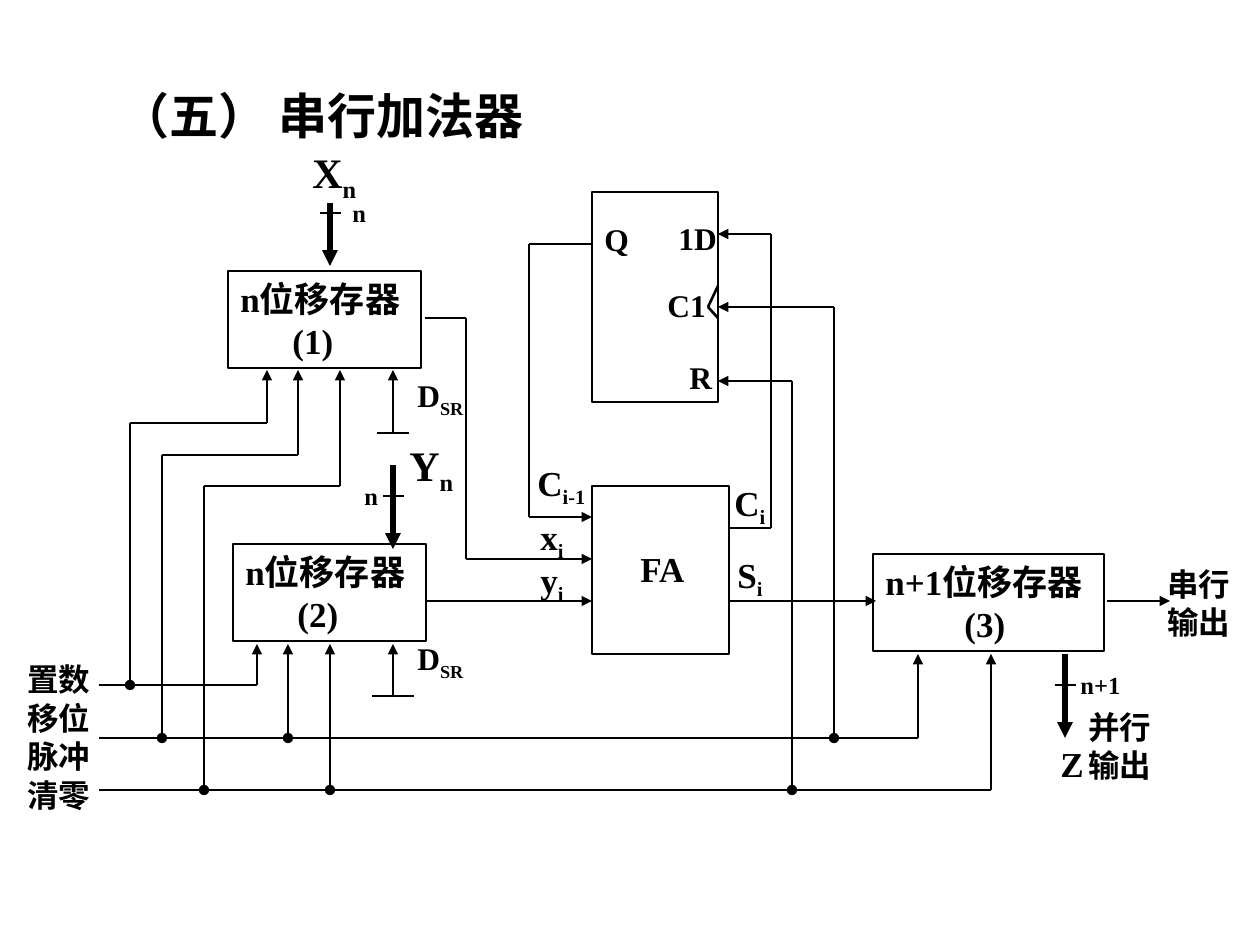
from pptx import Presentation, util as u
from pptx.dml.color import RGBColor
from pptx.enum import shapes, text
from pptx.oxml.ns import qn
from lxml import etree

SCALE = 914400 / 126  # EMU in one px
THEME = {
    "ink": RGBColor(0, 0, 0),
    "font": {"name": "Times New Roman", "bold": True},
    "title": 28, "port": 24, "body": 20, "small": 18, "tiny": 14,
    "thin": 1.5, "thick": 3,
}
FRAME = {"word_wrap": False, "vertical_anchor": text.MSO_ANCHOR.TOP,
         "auto_size": text.MSO_AUTO_SIZE.SHAPE_TO_FIT_TEXT}


def px(*vals):
    return [u.Emu(round(v * SCALE)) for v in vals]


def write(shape, words, size, sub="", inset=0):
    """Fill a shape, one paragraph a line; inset moves the later lines right."""
    frame = shape.text_frame
    for key, val in FRAME.items():
        setattr(frame, key, val)
    for i, line in enumerate(words.split("\n")):
        para = frame.add_paragraph() if i else frame.paragraphs[0]
        para.alignment = text.PP_ALIGN.LEFT
        if i and inset:
            para._p.get_or_add_pPr().set("marL", str(px(inset)[0]))
        for part in filter(None, (line, sub)):
            run = para.add_run()
            run.text = part
            for key, val in {**THEME["font"], "size": u.Pt(THEME[size])}.items():
                setattr(run.font, key, val)
            run.font.color.rgb = THEME["ink"]
            if part == sub:
                run._r.get_or_add_rPr().set("baseline", "-25000")


deck = Presentation()
deck.slide_width, deck.slide_height = px(1260, 945)
slide = deck.slides.add_slide(deck.slide_layouts[5])
items = slide.shapes

title = items.title
title.left, title.top, title.width, title.height = px(108, 79, 519, 72)
write(title, "（五） 串行加法器", "title")
title.text_frame.word_wrap = True

# Blocks: words, inset of second line, left, top, width, height
blocks = [
    ("n位移存器\n(1)", 52, 228, 271, 193, 97),
    ("n位移存器\n(2)", 52, 233, 544, 193, 97),
    ("n+1位移存器\n(3)", 79, 873, 554, 231, 97),
    ("", 0, 592, 486, 137, 168),
    ("", 0, 592, 192, 126, 210),
]
for words, inset, *area in blocks:
    box = items.add_shape(shapes.MSO_SHAPE.RECTANGLE, *px(*area))
    box.shadow.inherit = False
    box.fill.background()
    box.line.color.rgb = THEME["ink"]
    box.line.width = u.Pt(THEME["thin"])
    if words:
        write(box, words, "body", inset=inset)

# Wires: points, mark at start, mark at end, weight
DOT, TIP = "oval", "triangle"
wires = [
    ([(99, 685), (257, 685), (257, 644)], None, TIP, "thin"),
    ([(99, 738), (918, 738), (918, 654)], None, TIP, "thin"),
    ([(99, 790), (991, 790), (991, 654)], None, TIP, "thin"),
    ([(288, 738), (288, 644)], DOT, TIP, "thin"),
    ([(330, 790), (330, 644)], DOT, TIP, "thin"),
    ([(425, 601), (592, 601)], None, TIP, "thin"),
    ([(425, 318), (466, 318), (466, 559), (592, 559)], None, TIP, "thin"),
    ([(592, 244), (529, 244), (529, 517), (592, 517)], None, TIP, "thin"),
    ([(792, 790), (792, 381), (718, 381)], DOT, TIP, "thin"),
    ([(834, 738), (834, 307), (718, 307)], DOT, TIP, "thin"),
    ([(729, 528), (771, 528), (771, 234), (718, 234)], None, TIP, "thin"),
    ([(729, 601), (876, 601)], None, TIP, "thin"),
    ([(1107, 601), (1170, 601)], None, TIP, "thin"),
    ([(718, 286), (708, 307), (718, 318)], None, None, "thin"),
    ([(393, 696), (393, 644)], None, TIP, "thin"),
    ([(372, 696), (414, 696)], None, None, "thin"),
    ([(393, 433), (393, 370)], None, TIP, "thin"),
    ([(377, 433), (409, 433)], None, None, "thin"),
]
# Control lines up to the first register
for i, (bus, x, end) in enumerate([(685, 130, 267), (738, 162, 298), (790, 204, 340)]):
    turn = 423 + round(31.5 * i)
    wires.append(([(x, bus), (x, turn), (end, turn), (end, 370)], DOT, TIP, "thin"))
# Parallel ports, each with a bar across
for x, top, end, bar in [(330, 203, 266, 213), (393, 465, 549, 496), (1065, 654, 738, 685)]:
    wires.append(([(x, top), (x, end)], None, TIP, "thick"))
    wires.append(([(x - 10, bar), (x + 11, bar)], None, None, "thin"))

for points, head, tail, weight in wires:
    last = len(points) - 2
    for i, (start, stop) in enumerate(zip(points, points[1:])):
        wire = items.add_connector(shapes.MSO_CONNECTOR.STRAIGHT, *px(*start, *stop))
        wire.line.color.rgb = THEME["ink"]
        wire.line.width = u.Pt(THEME[weight])
        etree.SubElement(wire._element.spPr, qn("a:effectLst"))
        ln = wire.line._get_or_add_ln()
        for tag, kind, here in (("a:headEnd", head, i == 0), ("a:tailEnd", tail, i == last)):
            if kind and here:
                etree.SubElement(ln, qn(tag)).set("type", kind)

# Labels: words, subscript, size, left, top, width, height
labels = [
    ("FA", "", "body", 628, 541, 76, 55),
    ("Q", "", "small", 592, 214, 53, 50),
    ("1D", "", "small", 666, 213, 68, 50),
    ("C1", "", "small", 655, 280, 68, 50),
    ("R", "", "small", 677, 352, 52, 50),
    ("X", "n", "port", 300, 140, 73, 71),
    ("Y", "n", "port", 397, 433, 73, 71),
    ("D", "SR", "small", 405, 633, 76, 55),
    ("D", "SR", "small", 405, 370, 76, 55),
    ("C", "i-1", "body", 525, 455, 78, 60),
    ("C", "i", "body", 722, 475, 60, 60),
    ("S", "i", "body", 725, 547, 55, 60),
    ("x", "i", "body", 528, 509, 52, 60),
    ("y", "i", "body", 528, 552, 52, 60),
    ("Z", "", "body", 1048, 736, 52, 55),
    ("n+1", "", "tiny", 1068, 664, 70, 43),
    ("n", "", "tiny", 352, 475, 42, 43),
    ("n", "", "tiny", 340, 192, 42, 43),
    ("置数", "", "small", 15, 654, 92, 50),
    ("移位\n脉冲", "", "small", 15, 693, 92, 88),
    ("清零", "", "small", 15, 770, 92, 50),
    ("串行\n输出", "", "small", 1155, 559, 92, 88),
    ("并行\n输出", "", "small", 1076, 702, 92, 88),
]
for words, sub, size, *area in labels:
    write(items.add_textbox(*px(*area)), words, size, sub)

deck.save("out.pptx")
